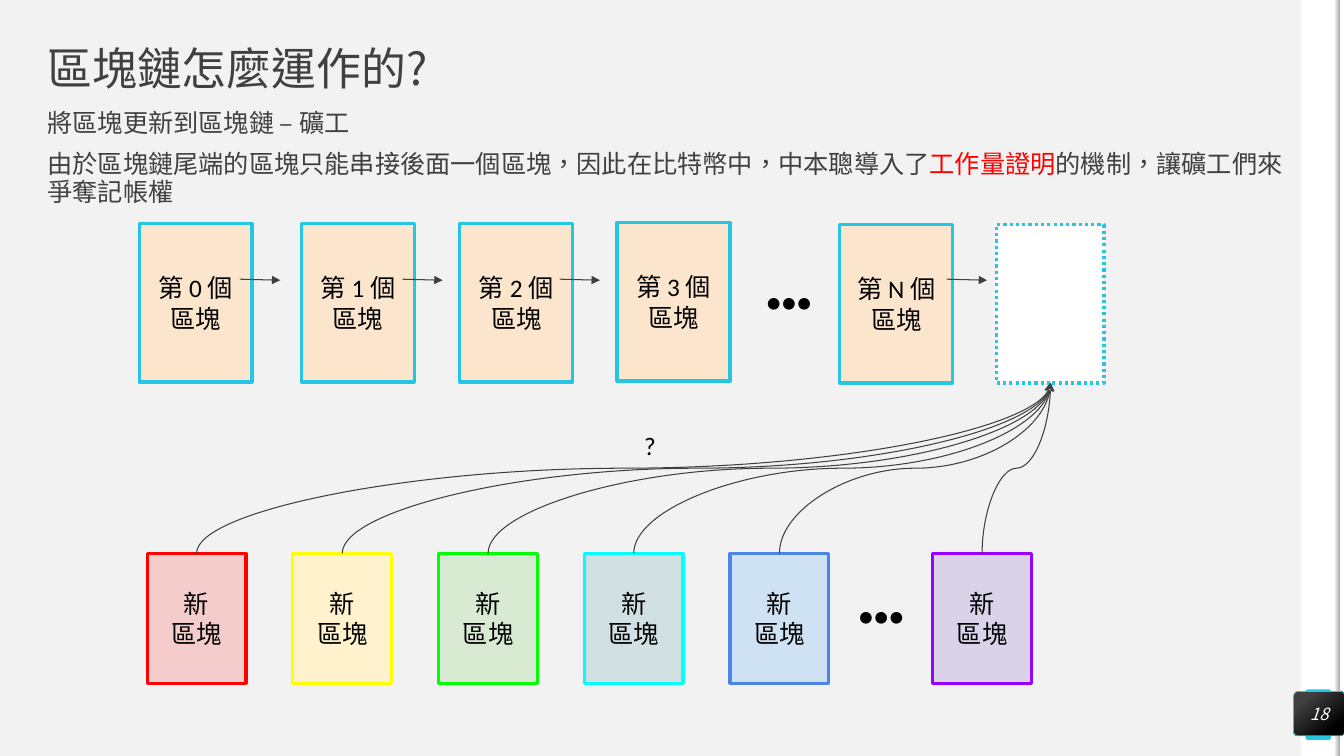
import pptx
import pptx.dml.color
import pptx.enum.dml
import pptx.enum.shapes
import pptx.enum.text
import pptx.oxml
import pptx.oxml.ns
import pptx.util
from pptx.util import Inches

SHAPES = pptx.enum.shapes.MSO_SHAPE
CONNECTORS = pptx.enum.shapes.MSO_CONNECTOR
ALIGN = pptx.enum.text.PP_ALIGN
ANCHOR = pptx.enum.text.MSO_ANCHOR
CJK_FONT = "Noto Sans CJK TC"
ACCENT = "25C6E3"
GREY = "404040"


def color(value):
    """Turn a hex string into a colour."""
    return pptx.dml.color.RGBColor.from_string(value)


def append_element(parent, tag, **attributes):
    """Append a drawing element to its parent."""
    element = pptx.oxml.parse_xml(f"<a:{tag} {pptx.oxml.ns.nsdecls('a')}/>")
    for name, value in attributes.items():
        element.set(name, value)
    parent.append(element)


def add_run(paragraph, text, size, font_name, text_color, italic=None):
    """Add one formatted run to a paragraph."""
    run = paragraph.add_run()
    run.text = text
    run.font.size = pptx.util.Pt(size)
    run.font.name = font_name
    run.font.italic = italic
    run.font.color.rgb = color(text_color)
    properties = run._r.get_or_add_rPr()
    properties.set("lang", "zh-TW")
    append_element(properties, "ea", typeface=font_name)


def prepare_frame(frame, inset, anchor):
    """Set wrapping, insets and anchor of a text frame."""
    frame.word_wrap = True
    frame.auto_size = pptx.enum.text.MSO_AUTO_SIZE.NONE
    frame.vertical_anchor = anchor
    frame.margin_left = frame.margin_right = Inches(inset)
    frame.margin_top = frame.margin_bottom = Inches(inset)


def write_centered(shape, lines, size=18, font_name="Calibri", text_color="000000", inset=0.1, italic=None):
    """Write centred lines, one paragraph each."""
    frame = shape.text_frame
    prepare_frame(frame, inset, ANCHOR.MIDDLE)
    for index, line in enumerate(lines):
        paragraph = frame.add_paragraph() if index else frame.paragraphs[0]
        paragraph.alignment = ALIGN.CENTER
        add_run(paragraph, line, size, font_name, text_color, italic)


def add_box(slide, box, fill=None, line=None, kind=SHAPES.RECTANGLE, width=2.25):
    """Add a shape with a plain fill and outline."""
    shape = slide.shapes.add_shape(kind, *map(Inches, box))
    shape.shadow.inherit = False
    if fill:
        shape.fill.solid()
        shape.fill.fore_color.rgb = color(fill)
    if line:
        shape.line.color.rgb = color(line)
        shape.line.width = pptx.util.Pt(width)
    else:
        shape.line.fill.background()
    return shape


def fill_gradient(shape, stops, angle):
    """Fill a shape with a two-stop gradient."""
    shape.fill.gradient()
    shape.fill.gradient_angle = angle
    for stop, (position, value) in zip(shape.fill.gradient_stops, stops):
        stop.position = position
        stop.color.rgb = color(value)


def add_label(slide, box, text):
    """Add a centred text box."""
    write_centered(slide.shapes.add_textbox(*map(Inches, box)), [text])


def add_arrow(slide, kind, points, head):
    """Add a thin arrow between two points."""
    arrow = slide.shapes.add_connector(kind, *map(Inches, points))
    arrow.line.color.rgb = color("3F3F3F")
    arrow.line.width = pptx.util.Pt(0.75)
    append_element(arrow.line._get_or_add_ln(), "tailEnd", type=head)
    append_element(arrow._element.spPr, "effectLst")
    return arrow


def add_rising_curve(slide, start, end):
    """Add an S-curve that leaves and arrives vertically."""
    center_x, center_y = (start[0] + end[0]) / 2, (start[1] + end[1]) / 2
    half_rise, half_run = (start[1] - end[1]) / 2, (end[0] - start[0]) / 2
    points = (center_x + half_rise, center_y + half_run, center_x - half_rise, center_y - half_run)
    curve = add_arrow(slide, CONNECTORS.CURVE, points, "stealth")
    curve._element.spPr.get_or_add_xfrm().set("rot", "5400000")


def add_side_band(slide, left, top, width, height):
    """Draw the right-hand band with its page badge."""
    add_box(slide, (left, top, width, height), "FFFFFF")
    add_box(slide, (left + 0.05, top + 6.84, 0.25, 0.5), ACCENT, kind=SHAPES.ROUNDED_RECTANGLE).adjustments[0] = 0.07
    add_box(slide, (left + 0.39, top, 0.05, height), "FFFFFF")
    edge = add_box(slide, (left + 0.34, top, 0.05, height))
    fill_gradient(edge, [(0, "F2F2F2"), (1, "A6A6A6")], 0)
    badge = add_box(slide, (left - 0.07, top + 6.86, 0.51, 0.44), line=ACCENT, kind=SHAPES.ROUNDED_RECTANGLE, width=0.5)
    badge.adjustments[0] = 0.1
    fill_gradient(badge, [(0.2, "404040"), (0.82, "000000")], 310)
    write_centered(badge, ["18"], 12, CJK_FONT, "FFFFFF", 0, True)


def fill_placeholder(shape, box, paragraphs, size, anchor):
    """Place a placeholder and write its left-aligned paragraphs."""
    shape.left, shape.top, shape.width, shape.height = map(Inches, box)
    frame = shape.text_frame
    prepare_frame(frame, 0, anchor)
    for index, runs in enumerate(paragraphs):
        paragraph = frame.add_paragraph() if index else frame.paragraphs[0]
        properties = paragraph._p.get_or_add_pPr()
        properties.set("marL", "0")
        properties.set("indent", "0")
        paragraph.alignment = ALIGN.LEFT
        paragraph.line_spacing = 0.9
        paragraph.space_before = pptx.util.Pt(10 if index else 0)
        append_element(properties, "buNone")
        for text, text_color in runs:
            add_run(paragraph, text, size, CJK_FONT, text_color)


def add_chain(slide, left, top, width, height):
    """Draw the existing chain and the open slot at its end."""
    blocks = [("0", 0, 0.01, 1), ("1", 1.61, 0.01, 1), ("2", 3.18, 0.01, 0.99),
              ("3", 4.74, 0, None), ("N", 6.95, 0.02, 1.06)]
    for name, offset, drop, arrow_offset in blocks:
        block = add_box(slide, (left + offset, top + drop, 1.12, height), "FCE5CD", ACCENT)
        write_centered(block, [f"第 {name} 個", "區塊"])
        if arrow_offset:
            start = left + offset + arrow_offset
            add_arrow(slide, CONNECTORS.STRAIGHT, (start, top + 0.56, start + 0.4, top + 0.57), "triangle")
    add_label(slide, (left + 6.07, top, 0.75, height), "●●●")
    slot = add_box(slide, (left + width - 1.07, top + 0.02, 1.07, height), "FFFFFF", ACCENT)
    slot.line.dash_style = pptx.enum.dml.MSO_LINE.ROUND_DOT


def add_candidates(slide, left, top, width, height, target):
    """Draw the new blocks competing for the open slot."""
    colors = [("F4CCCC", "FF0000"), ("FFF2CC", "FFFF00"), ("D9EAD3", "00FF00"),
              ("D0E0E3", "00FFFF"), ("CFE2F3", "4A86E8"), ("D9D2E9", "9900FF")]
    block_width = 0.98
    for index, (fill, line) in enumerate(colors):
        is_last = index == len(colors) - 1
        block_left = left + width - block_width if is_last else left + index * 1.445
        block = add_box(slide, (block_left, top, block_width, height), fill, line)
        write_centered(block, ["新", "區塊"])
        add_rising_curve(slide, (block_left + block_width / 2, top), target)
    add_label(slide, (left + 6.95, top - 0.03, 0.66, height), "●●●")
    add_label(slide, (left + 4.83, top - 1.27, 0.31, 0.39), "?")


def main():
    """Build and save the slide."""
    presentation = pptx.Presentation()
    presentation.slide_width, presentation.slide_height = Inches(13.33), Inches(7.5)
    slide = presentation.slides.add_slide(presentation.slide_layouts[1])
    slide.background.fill.solid()
    slide.background.fill.fore_color.rgb = color("F2F2F2")
    add_side_band(slide, 12.9, 0, 0.39, 7.5)
    fill_placeholder(slide.shapes.title, (0.47, 0.47, 12.39, 0.47), [[("區塊鏈怎麼運作的?", GREY)]], 32, ANCHOR.MIDDLE)
    body = [[("將區塊更新到區塊鏈 – 礦工", GREY)],
            [("由於區塊鏈尾端的區塊只能串接後面一個區塊，因此在比特幣中，中本聰導入了", GREY),
             ("工作量證明", "FF0000"), ("的機制，讓礦工們來爭奪記帳權", GREY)]]
    fill_placeholder(slide.placeholders[1], (0.47, 1.1, 12.4, 0.99), body, 18, ANCHOR.TOP)
    add_chain(slide, 1.38, 2.21, 9.57, 1.57)
    add_candidates(slide, 1.46, 5.49, 8.77, 1.29, (10.42, 3.8))
    presentation.save("out.pptx")


if __name__ == "__main__":
    main()
